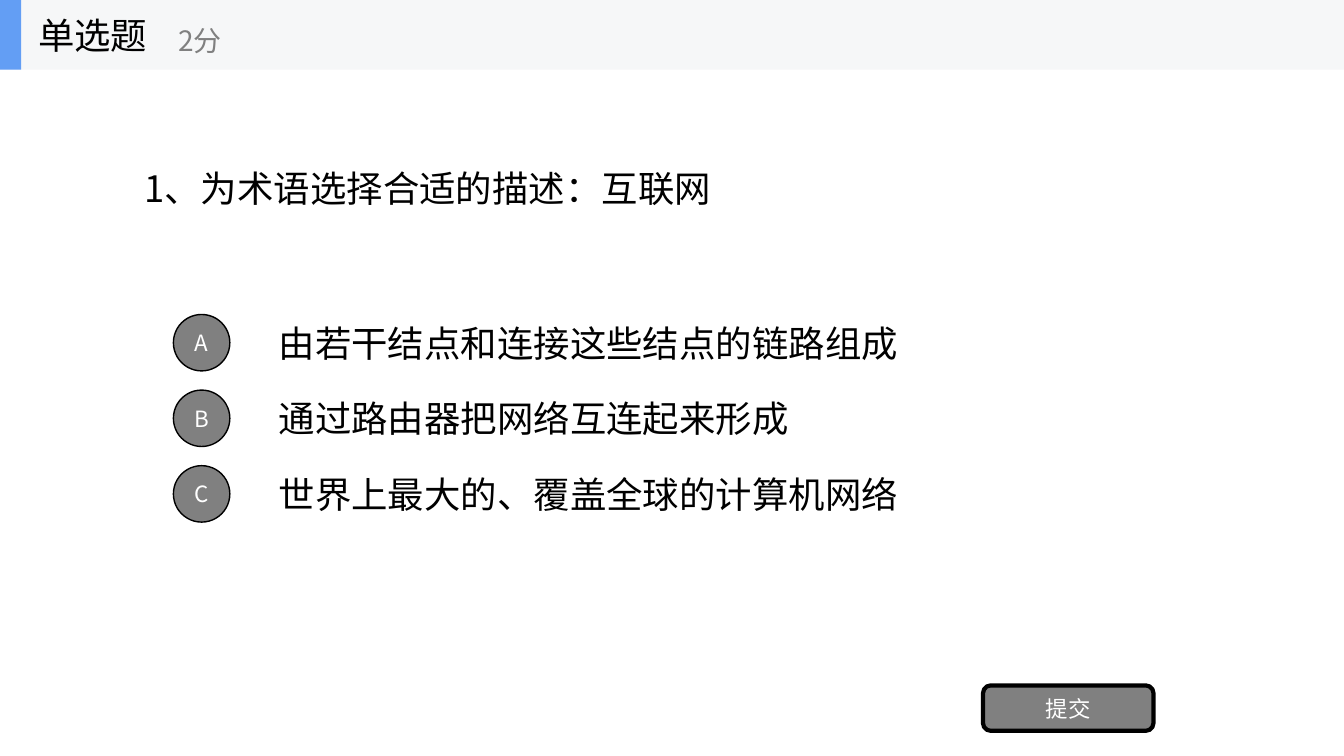
"""Builds a single-choice quiz slide with three lettered options and a submit button."""
from lxml import etree
from pptx import Presentation
from pptx.dml.color import RGBColor
from pptx.enum.shapes import MSO_SHAPE
from pptx.enum.text import MSO_ANCHOR, PP_ALIGN
from pptx.oxml.ns import qn
from pptx.util import Inches, Pt

RECTANGLE, OVAL, ROUNDED = MSO_SHAPE.RECTANGLE, MSO_SHAPE.OVAL, MSO_SHAPE.ROUNDED_RECTANGLE
MIDDLE, LEFT, CENTER = MSO_ANCHOR.MIDDLE, PP_ALIGN.LEFT, PP_ALIGN.CENTER
BLACK = RGBColor(0x00, 0x00, 0x00)
WHITE = RGBColor(0xFF, 0xFF, 0xFF)
GRAY = RGBColor(0x80, 0x80, 0x80)
BAR_GRAY = RGBColor(0xF6, 0xF7, 0xF8)
ACCENT_BLUE = RGBColor(0x63, 0x9E, 0xF4)
FONT = "Noto Sans CJK SC"
WIDTH, HEIGHT = 13.33, 7.5
COLUMN, ROW = WIDTH / 10, HEIGHT / 10
BAR_HEIGHT = 0.69
OPTIONS_TOP, OPTION_HEIGHT, BADGE_SIZE = 3.05, 0.7, 0.56

deck = Presentation()
deck.slide_width, deck.slide_height = Inches(WIDTH), Inches(HEIGHT)
slide = deck.slides.add_slide(deck.slide_layouts[6])


def write(holder, text, size, color, align=LEFT, wrap=True):
    """Puts one vertically centred run into a shape or text box."""
    frame = holder.text_frame
    frame.word_wrap = wrap
    frame.vertical_anchor = MIDDLE
    paragraph = frame.paragraphs[0]
    paragraph.alignment = align
    run = paragraph.add_run()
    run.text = text
    run.font.size = Pt(size)
    run.font.color.rgb = color
    run.font.name = FONT
    etree.SubElement(run.font._element, qn("a:ea")).set("typeface", FONT)


def add_block(kind, left, top, width, height, fill, line_width=0):
    """Adds a filled preset shape, outlined in black when a line width is given."""
    block = slide.shapes.add_shape(kind, *map(Inches, (left, top, width, height)))
    block.shadow.inherit = False
    block.fill.solid()
    block.fill.fore_color.rgb = fill
    if line_width:
        block.line.color.rgb = BLACK
        block.line.width = Pt(line_width)
    else:
        block.line.fill.background()
    return block


add_block(RECTANGLE, 0, 0, WIDTH, BAR_HEIGHT, BAR_GRAY)
add_block(RECTANGLE, 0, 0, 0.21, BAR_HEIGHT, ACCENT_BLUE)

for left, top, width, height, text, size, color, wrap in (
    (0.28, 0, 2.08, BAR_HEIGHT, "单选题", 26, BLACK, False),
    (1.67, 0.12, 2.5, 0.56, "2分", 20, GRAY, False),
    (COLUMN, BAR_HEIGHT, 8 * COLUMN, 2.34, "1、为术语选择合适的描述：互联网", 26, BLACK, True),
):
    label = slide.shapes.add_textbox(*map(Inches, (left, top, width, height)))
    write(label, text, size, color, wrap=wrap)

options = (
    ("A", "由若干结点和连接这些结点的链路组成"),
    ("B", "通过路由器把网络互连起来形成"),
    ("C", "世界上最大的、覆盖全球的计算机网络"),
)
for index, (letter, answer) in enumerate(options):
    top = OPTIONS_TOP + index * ROW
    badge_top = top + (OPTION_HEIGHT - BADGE_SIZE) / 2
    badge = add_block(OVAL, 1.72, badge_top, BADGE_SIZE, BADGE_SIZE, GRAY, 1)
    write(badge, letter, 16, WHITE, CENTER)
    option = slide.shapes.add_textbox(
        *map(Inches, (2 * COLUMN, top, 7 * COLUMN, OPTION_HEIGHT)))
    write(option, answer, 26, BLACK)

submit_button = add_block(ROUNDED, 9.75, 6.8, 1.69, 0.45, GRAY, 3)
write(submit_button, "提交", 16, WHITE, CENTER)

deck.save("out.pptx")
